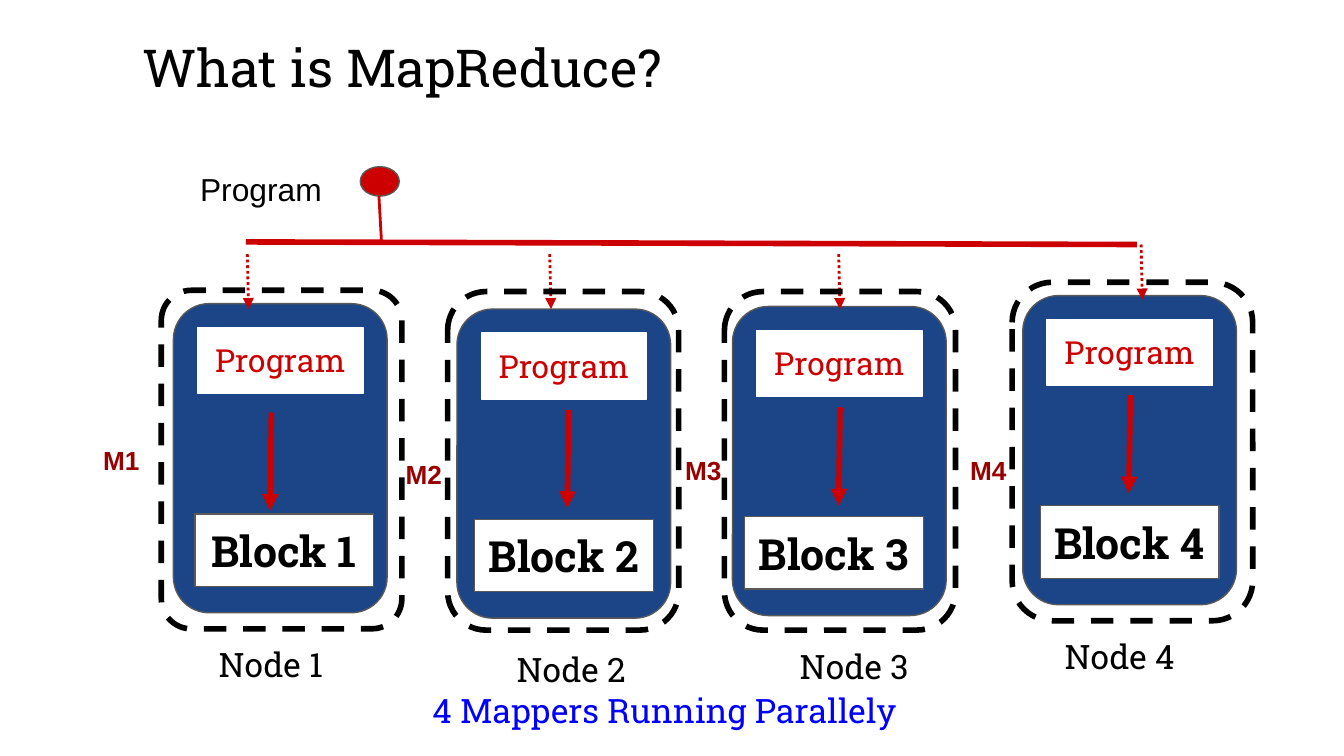
from lxml.etree import SubElement
from pptx import Presentation
from pptx.dml.color import RGBColor
from pptx.enum.dml import MSO_LINE
from pptx.enum.shapes import MSO_CONNECTOR, MSO_SHAPE
from pptx.enum.text import MSO_ANCHOR, MSO_AUTO_SIZE, PP_ALIGN
from pptx.oxml.ns import qn
from pptx.util import Pt

COLORS = {
    "black": "000000",
    "white": "FFFFFF",
    "navy": "1C4587",
    "gray": "595959",
    "red": "CC0000",
    "maroon": "990000",
    "blue": "0000FF",
}
SLAB = "Roboto Slab"
FORMATS = {
    "title": dict(name=SLAB, size=Pt(28)),
    "caption": dict(name=SLAB, size=Pt(18)),
    "source": dict(name="Arial", size=Pt(17)),
    "program": dict(name=SLAB, size=Pt(17)),
    "block": dict(name=SLAB, size=Pt(23), bold=True),
    "mapper": dict(name="Arial", size=Pt(14), bold=True),
}
NODES = [
    dict(body=(92.9, 162.7), block_dx=11.5, frame=(86.4, 155.5, 128.9), radius=0.125,
         feed=(132.5, 136.1), arrow=(145.4, 221), center=145.1, mapper=(48.2, 231.1)),
    dict(body=(244.8, 165.6), block_dx=9.4, frame=(239.8, 156.2, 123.8), radius=0.167,
         feed=(294.5, 136.1), arrow=(304.6, 219.6), center=306, mapper=(210.2, 238.3)),
    dict(body=(392.4, 164.2), block_dx=6.5, frame=(388.1, 156.2, 123.8), radius=0.167,
         feed=(449.3, 136.1), arrow=(450, 218.2), center=457.6, mapper=(360, 236.2)),
    dict(body=(547.9, 158.4), block_dx=9.4, frame=(542.2, 151.2, 128.9), radius=0.167,
         feed=(611.3, 131), arrow=(605.5, 211.7), center=599.8, mapper=(512.6, 236.2)),
]


def rgb(name):
    return RGBColor.from_string(COLORS[name])


def write(shape, text, style, color="black", align=PP_ALIGN.CENTER,
          anchor=MSO_ANCHOR.TOP, fit=MSO_AUTO_SIZE.SHAPE_TO_FIT_TEXT):
    tf = shape.text_frame
    settings = dict(word_wrap=True, auto_size=fit, vertical_anchor=anchor)
    settings.update({f"margin_{side}": Pt(7.2) for side in ("left", "top", "right", "bottom")})
    for key, value in settings.items():
        setattr(tf, key, value)
    p = tf.paragraphs[0]
    p.alignment = align
    r = p.add_run()
    r.text = text
    for key, value in FORMATS[style].items():
        setattr(r.font, key, value)
    r.font.color.rgb = rgb(color)


def add_text(s, box, text, style, **options):
    write(s.shapes.add_textbox(*map(Pt, box)), text, style, **options)


def add_box(s, kind, box, fill=None, line="gray", width=0.75, dash=None, radius=None):
    sp = s.shapes.add_shape(kind, *map(Pt, box))
    sp.shadow.inherit = False
    if fill:
        sp.fill.solid()
        sp.fill.fore_color.rgb = rgb(fill)
    else:
        sp.fill.background()
    sp.line.color.rgb = rgb(line)
    sp.line.width = Pt(width)
    if dash:
        sp.line.dash_style = dash
    if radius:
        sp.adjustments[0] = radius
    return sp


def add_line(s, x, y, dx, dy, width, dash=None, arrow=False):
    ends = map(Pt, (x, y, x + dx, y + dy))
    line = s.shapes.add_connector(MSO_CONNECTOR.STRAIGHT, *ends)
    line.line.color.rgb = rgb("red")
    line.line.width = Pt(width)
    if dash:
        line.line.dash_style = dash
    if arrow:
        SubElement(line.line._get_or_add_ln(), qn("a:tailEnd"), type="triangle")
    SubElement(line._element.spPr, qn("a:effectLst"))


def add_node(s, number, node):
    x, y = node["body"]
    add_box(s, MSO_SHAPE.ROUNDED_RECTANGLE, (x, y, 114.5, 165.6), "navy", radius=0.167)
    block = add_box(s, MSO_SHAPE.RECTANGLE, (x + node["block_dx"], y + 112.6, 95.8, 38.9), "white")
    write(block, f"Block {number}", "block", anchor=MSO_ANCHOR.MIDDLE, fit=MSO_AUTO_SIZE.NONE)
    program = add_box(s, MSO_SHAPE.RECTANGLE, (x + 13, y + 12.8, 88.6, 35.3), "white", "white")
    write(program, "Program", "program", color="red")

    left, top, width = node["frame"]
    add_line(s, *node["feed"], 0.7, 29.5, 1.5, MSO_LINE.ROUND_DOT, arrow=True)
    add_box(s, MSO_SHAPE.ROUNDED_RECTANGLE, (left, top, width, 181.4), line="black",
            width=3, dash=MSO_LINE.DASH, radius=node["radius"])
    add_line(s, *node["arrow"], -0.7, 52.6, 3, arrow=True)
    add_text(s, (node["center"] - 46, y + 174.9, 92, 36), f"Node {number}", "caption")
    add_text(s, (*node["mapper"], 38.2, 31.7), f"M{number}", "mapper",
             color="maroon", align=PP_ALIGN.LEFT)


def main():
    prs = Presentation()
    prs.slide_width, prs.slide_height = Pt(720), Pt(405)
    s = prs.slides.add_slide(prs.slide_layouts[6])
    add_text(s, (69.1, 11.5, 332.6, 48.2), "What is MapReduce?", "title", align=PP_ALIGN.LEFT)
    add_text(s, (100.1, 83.5, 92.2, 35.3), "Program", "source", align=PP_ALIGN.LEFT)
    add_text(s, (148.3, 362.2, 415.4, 36), "4 Mappers Running Parallely", "caption", color="blue")
    add_box(s, MSO_SHAPE.OVAL, (193, 89.3, 20.9, 15.8), "red")
    add_line(s, 203, 105.1, 1.4, 24.5, 1.5)
    add_line(s, 131.8, 129.6, 477.3, 1.4, 3)
    for number, node in enumerate(NODES, 1):
        add_node(s, number, node)
    prs.save("out.pptx")


if __name__ == "__main__":
    main()
